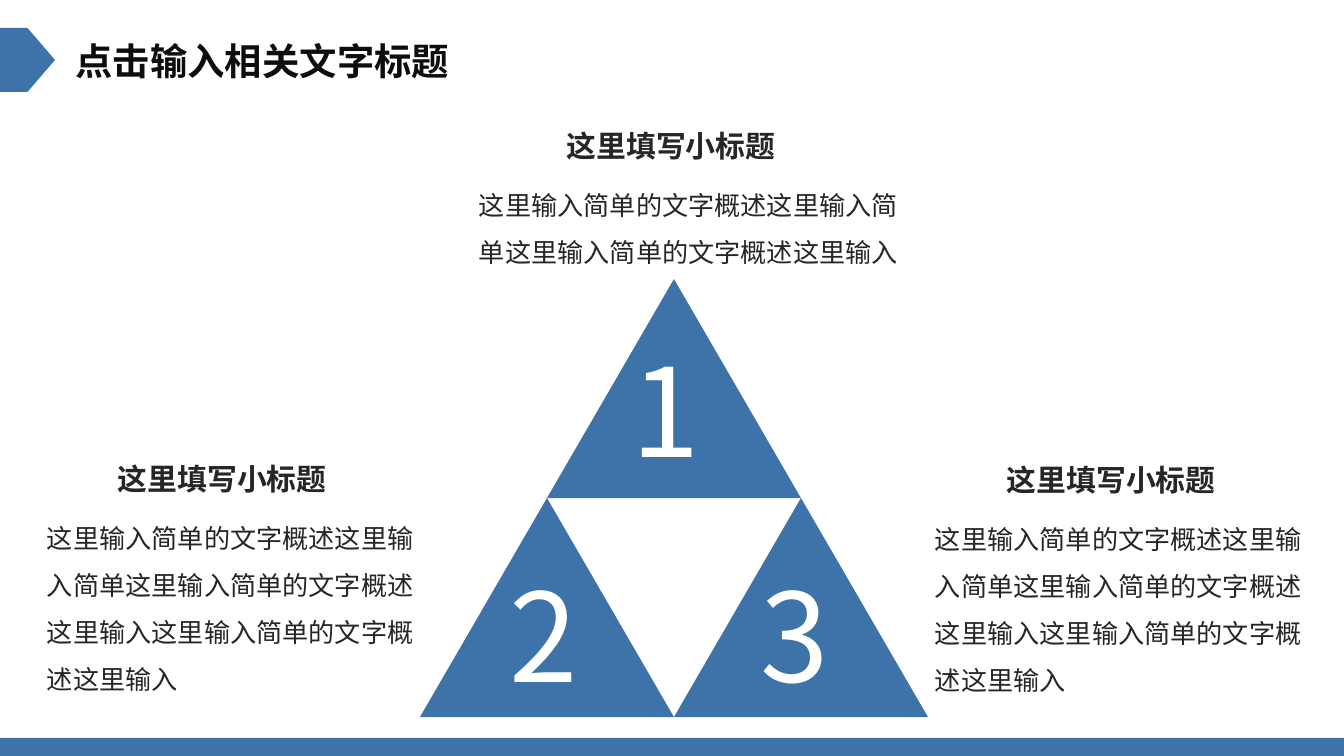
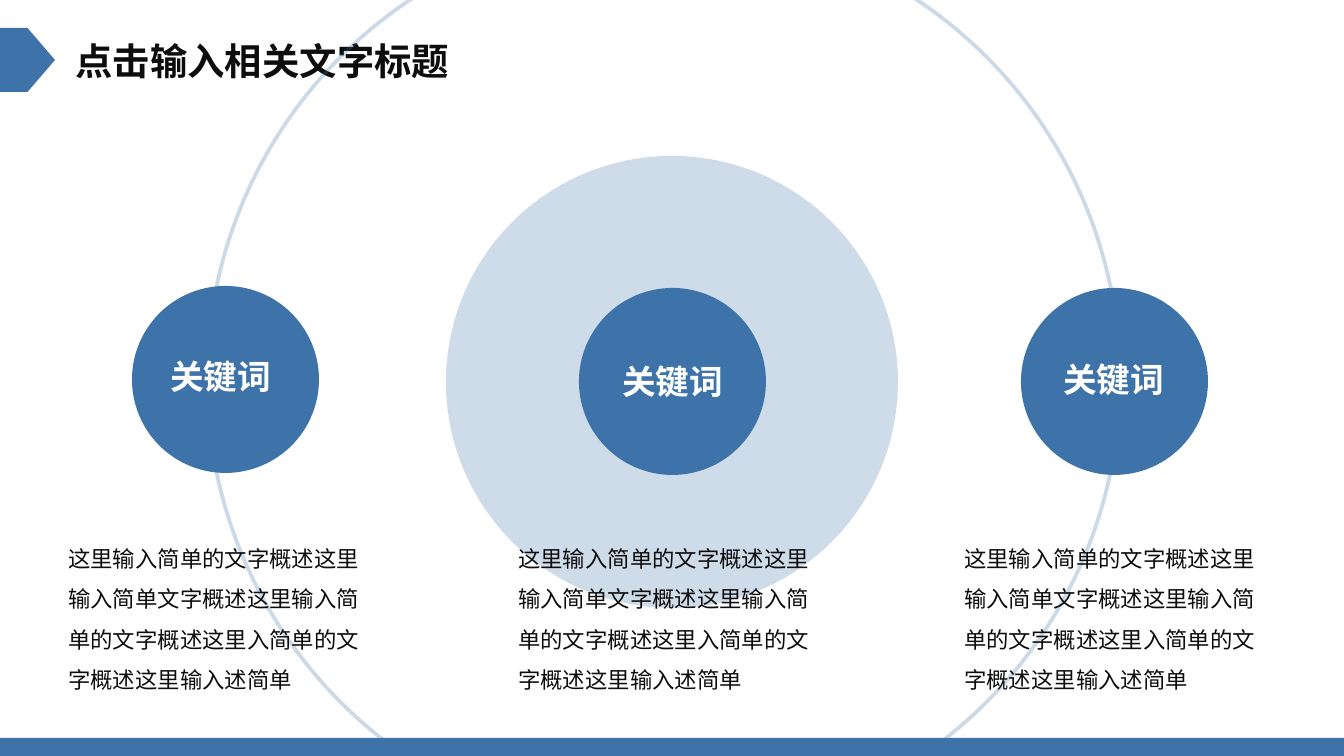
"""Build two template slides: a three-part triangle and a ring of keywords."""
from pptx import Presentation
from pptx.dml.color import RGBColor
from pptx.enum.shapes import MSO_SHAPE
from pptx.enum.text import MSO_ANCHOR, MSO_AUTO_SIZE, PP_ALIGN
from pptx.oxml.ns import qn
from pptx.util import Pt
from lxml import etree

RECTANGLE, PENTAGON = MSO_SHAPE.RECTANGLE, MSO_SHAPE.PENTAGON
TRIANGLE, OVAL = MSO_SHAPE.ISOSCELES_TRIANGLE, MSO_SHAPE.OVAL
TOP, FIT = MSO_ANCHOR.TOP, MSO_AUTO_SIZE.SHAPE_TO_FIT_TEXT
LEFT, JUSTIFY = PP_ALIGN.LEFT, PP_ALIGN.JUSTIFY

PX = 914400 / 134.4
WIDTH, HEIGHT = 1344, 756
COLORS = {"blue": "3D73A9", "title": "0D0D0D", "text": "262626", "white": "FFFFFF"}
HEAD_FONT, BODY_FONT = "Noto Sans CJK SC", "Calibri"
TITLE_ONLY = 5


def add_figure(page, kind, at, outline=None, opacity=100):
    """Add a blue shape, filled or only outlined."""
    figure = page.shapes.add_shape(kind, *[round(value * PX) for value in at])
    figure.shadow.inherit = False
    if outline:
        figure.fill.background()
        figure.line.width = Pt(outline)
        paint = figure.line.fill
    else:
        figure.line.fill.background()
        paint = figure.fill
    paint.solid()
    paint.fore_color.rgb = RGBColor.from_string(COLORS["blue"])
    if opacity < 100:
        color = figure._element.spPr.find(".//" + qn("a:srgbClr"))
        etree.SubElement(color, qn("a:alpha"), val=str(opacity * 1000))


def write(page, at, text, box=None, font=BODY_FONT, size=14, color="text", bold=False,
          wrap=True, align=LEFT, spacing=None, insets=None):
    """Write one formatted paragraph into a given box or a new text box."""
    if box is None:
        box = page.shapes.add_textbox(0, 0, 0, 0)
    box.left, box.top, box.width, box.height = [round(value * PX) for value in at]
    frame = box.text_frame
    frame.word_wrap = wrap
    frame.auto_size = FIT
    frame.vertical_anchor = TOP
    if insets:
        across, down = [round(value * PX) for value in insets]
        frame.margin_left = frame.margin_right = across
        frame.margin_top = frame.margin_bottom = down
    para = frame.paragraphs[0]
    para.alignment = align
    if spacing:
        para.line_spacing = spacing
    span = para.add_run()
    span.text = text
    span.font.size = Pt(size)
    span.font.bold = bold
    span.font.color.rgb = RGBColor.from_string(COLORS[color])
    span.font.name = font
    properties = span._r.get_or_add_rPr()
    properties.set("lang", "zh-CN")
    etree.SubElement(properties, qn("a:ea"), typeface=font)


deck = Presentation()
deck.slide_width, deck.slide_height = round(WIDTH * PX), round(HEIGHT * PX)
pages = [deck.slides.add_slide(deck.slide_layouts[TITLE_ONLY]) for _ in range(2)]
for page in pages:
    add_figure(page, RECTANGLE, (0, 738, WIDTH, 18))
    add_figure(page, PENTAGON, (0, 28, 55, 64))
    write(page, (62, 31, 405, 59), "点击输入相关文字标题", box=page.shapes.title,
          font=HEAD_FONT, size=20, color="title", bold=True, wrap=False)
triangle_page, ring_page = pages

SIDE, RISE = 254, 219
APEX_X, APEX_Y = 674, 279
corners = [(APEX_X - SIDE // 2, APEX_Y), (APEX_X - SIDE, APEX_Y + RISE), (APEX_X, APEX_Y + RISE)]
for left, top in corners:
    add_figure(triangle_page, TRIANGLE, (left, top, SIDE, RISE))

SHORT = "这里输入简单的文字概述这里输入简单这里输入简单的文字概述这里输入"
LONG = SHORT + "这里输入简单的文字概述这里输入"
captions = [
    ((550, 125, 273, 48), (462, 165, 457, 108), SHORT),
    ((101, 458, 324, 48), (30, 498, 410, 208), LONG),
    ((990, 459, 324, 48), (918, 499, 410, 208), LONG),
]
for heading_at, body_at, body in captions:
    write(triangle_page, body_at, body, spacing=1.5, insets=(17, 9))
    write(triangle_page, heading_at, "这里填写小标题", font=HEAD_FONT, size=16, bold=True,
          align=JUSTIFY, spacing=Pt(16), insets=(17, 9))
for number, (left, top) in enumerate([(618, 328), (496, 553), (747, 553)], 1):
    write(triangle_page, (left, top, 101, 163), str(number), font=HEAD_FONT, size=66,
          color="white", wrap=False)

add_figure(ring_page, OVAL, (207, -77, 913, 913), outline=2, opacity=25)
add_figure(ring_page, OVAL, (446, 156, 452, 452), opacity=25)

NOTE = "这里输入简单的文字概述这里输入简单文字概述这里输入简单的文字概述这里入简单的文字概述这里输入述简单"
keywords = [
    ((132, 286), (157, 349), 55),
    ((579, 288), (609, 354), 505),
    ((1021, 288), (1050, 352), 951),
]
for disc, label, note_left in keywords:
    add_figure(ring_page, OVAL, (*disc, 187, 187))
    write(ring_page, (*label, 137, 54), "关键词", size=18, color="white", bold=True)
    write(ring_page, (note_left, 525, 333, 176), NOTE, size=12, color="title", spacing=1.5)

deck.save("out.pptx")
